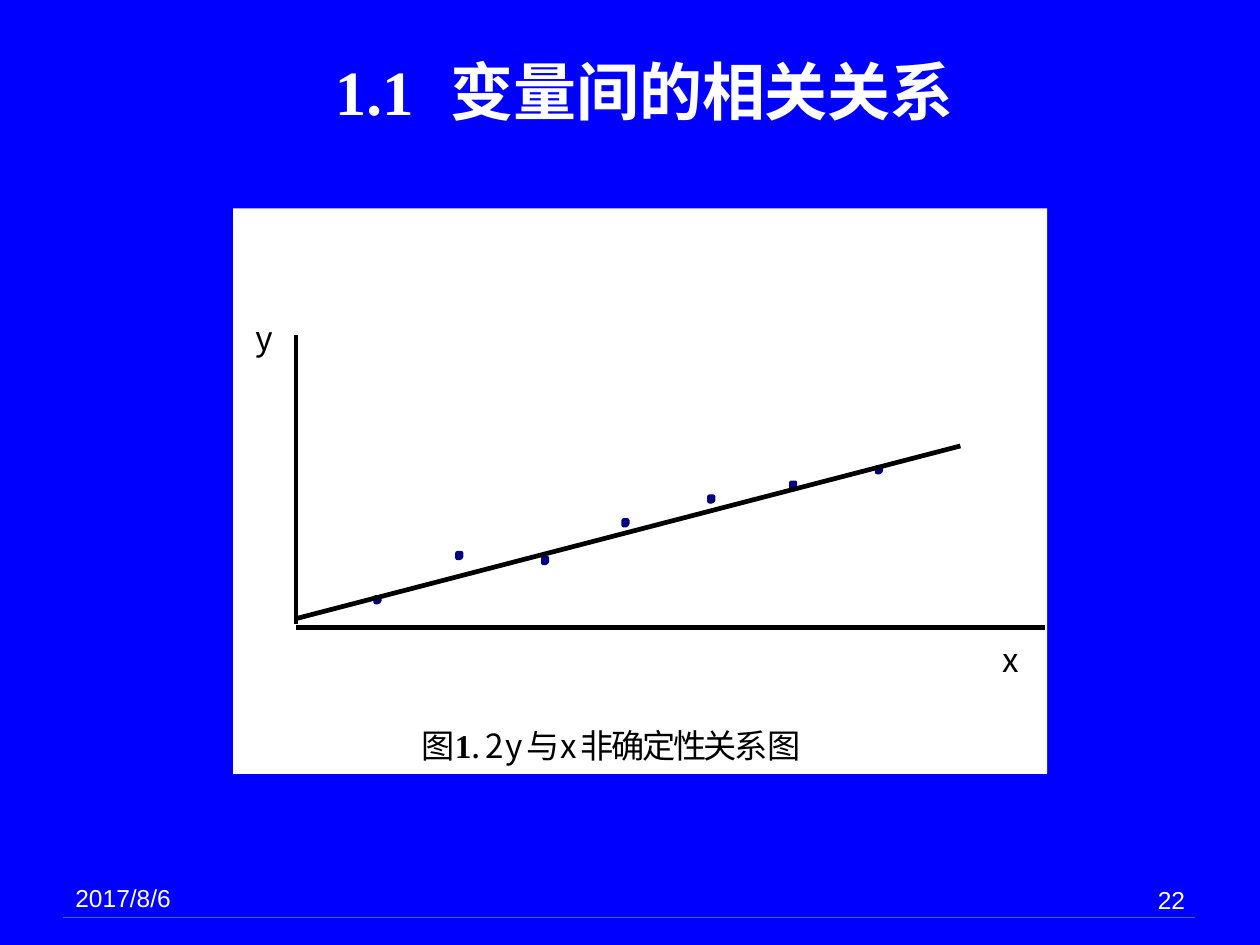
from lxml import etree
from pptx import Presentation
from pptx.dml.color import RGBColor
from pptx.enum.shapes import MSO_CONNECTOR, MSO_SHAPE
from pptx.enum.text import PP_ALIGN
from pptx.oxml.ns import qn
from pptx.util import Cm, Pt

STRAIGHT = MSO_CONNECTOR.STRAIGHT
RECTANGLE = MSO_SHAPE.RECTANGLE
RIGHT = PP_ALIGN.RIGHT

COLORS = {
    "background": "0000FF",
    "panel": "FFFFFF",
    "light": "FFFFFF",
    "ink": "000000",
    "dot": "000080",
    "rule": "336699",
}
SANS = "Noto Sans CJK SC"
SERIF = "Times New Roman"

AXIS_X = 5.97
DOT_W, DOT_H = 0.08, 0.1
DOTS = [(7.57, 12.04), (9.22, 11.15), (10.95, 11.25), (12.57, 10.49),
        (14.3, 10.01), (15.95, 9.73), (17.68, 9.42)]

CAPTION = [
    ("图", SANS, -1.4, False),
    ("1", SERIF, -1.2, True),
    (". ", SANS, -1.2, False),
    ("2 y ", SANS, -1.8, False),
    ("与", SANS, -1.4, False),
    ("x ", SANS, -1.8, False),
    ("非确定性关系", SANS, -1.4, False),
    ("图", SANS, -3.5, False),
]


def rgb(name):
    return RGBColor.from_string(COLORS[name])


def add_line(s, x1, y1, x2, y2, color, width):
    line = s.shapes.add_connector(STRAIGHT, Cm(x1), Cm(y1), Cm(x2), Cm(y2))
    line.line.color.rgb = rgb(color)
    line.line.width = Pt(width)
    etree.SubElement(line._element.spPr, qn("a:effectLst"))


def add_panel(s, x, y, w, h):
    sp = s.shapes.add_shape(RECTANGLE, Cm(x), Cm(y), Cm(w), Cm(h))
    sp.shadow.inherit = False
    sp.fill.solid()
    sp.fill.fore_color.rgb = rgb("panel")
    sp.line.fill.background()


def add_dot(s, x, y):
    right, bottom = x + DOT_W, y + DOT_H
    outline = [(right, y), (right, bottom - 0.03), (right - 0.03, bottom), (x, bottom)]
    builder = s.shapes.build_freeform(Cm(x), Cm(y))
    builder.add_line_segments([(Cm(px), Cm(py)) for px, py in outline])
    sp = builder.convert_to_shape()
    sp.shadow.inherit = False
    sp.fill.solid()
    sp.fill.fore_color.rgb = rgb("dot")
    sp.line.color.rgb = rgb("dot")
    sp.line.width = Pt(2.4)


def add_textbox(s, x, y, w, h):
    sp = s.shapes.add_textbox(Cm(x), Cm(y), Cm(w), Cm(h))
    tf = sp.text_frame
    tf.word_wrap = True
    tf.margin_left = tf.margin_top = tf.margin_right = tf.margin_bottom = 0
    return sp


def add_run(p, text, font, size, color, spacing=0, bold=False):
    r = p.add_run()
    r.text = text
    r.font.size = Pt(size)
    r.font.bold = bold
    r.font.color.rgb = rgb(color)
    r.font.name = font
    rPr = r._r.get_or_add_rPr()
    rPr.set("spc", str(round(spacing * 100)))
    etree.SubElement(rPr, qn("a:ea")).set("typeface", font)


def add_title(s):
    p = add_textbox(s, 6.75, 1.05, 12.55, 1.6).text_frame.paragraphs[0]
    tabs = etree.SubElement(p._p.get_or_add_pPr(), qn("a:tabLst"))
    etree.SubElement(tabs, qn("a:tab"), pos=str(Cm(2.34)), algn="l")
    add_run(p, "1.1\t", SERIF, 36, "light", bold=True)
    add_run(p, "变量间的相关关系", SANS, 36, "light", -0.1, True)


def add_caption(s):
    tf = add_textbox(s, 8.5, 12.88, 12.05, 2.35).text_frame
    p = tf.paragraphs[0]
    p.alignment = RIGHT
    add_run(p, "x", SANS, 19, "ink", -1.8)
    p = tf.add_paragraph()
    p.space_before = Pt(26.3)
    for text, font, spacing, bold in CAPTION:
        add_run(p, text, font, 19, "ink", spacing, bold)


def add_label(s, box, text, font, size, color, leading, spacing=0):
    sp = add_textbox(s, *box)
    p = sp.text_frame.paragraphs[0]
    p.line_spacing = Pt(leading)
    add_run(p, text, font, size, color, spacing)
    return sp


def main():
    prs = Presentation()
    prs.slide_width, prs.slide_height = Cm(25.4), Cm(19.05)
    s = prs.slides.add_slide(prs.slide_layouts[6])
    s.background.fill.solid()
    s.background.fill.fore_color.rgb = rgb("background")

    add_line(s, 1.27, 18.49, 24.08, 18.49, "rule", 0.75)
    add_title(s)
    add_panel(s, 4.7, 4.2, 16.41, 11.4)
    add_line(s, AXIS_X, 6.76, AXIS_X, 12.57, "ink", 2.2)
    add_line(s, AXIS_X, 12.65, 21.06, 12.65, "ink", 2.7)
    for x, y in DOTS:
        add_dot(s, x, y)
    add_line(s, AXIS_X, 12.47, 19.36, 8.99, "ink", 2.7)
    add_caption(s)
    add_label(s, (1.52, 17.81, 2.01, 0.56), "2017/8/6", "Arial", 14, "light", 16.5)
    add_label(s, (23.34, 17.86, 0.65, 0.64), "22", "Arial", 14, "light", 16.5)
    y_label = add_label(s, (5.16, 6.53, 0.74, 0.69), "y", SANS, 19, "ink", 19.2, -1.8)
    y_label.rotation = 1

    prs.save("out.pptx")


if __name__ == "__main__":
    main()
